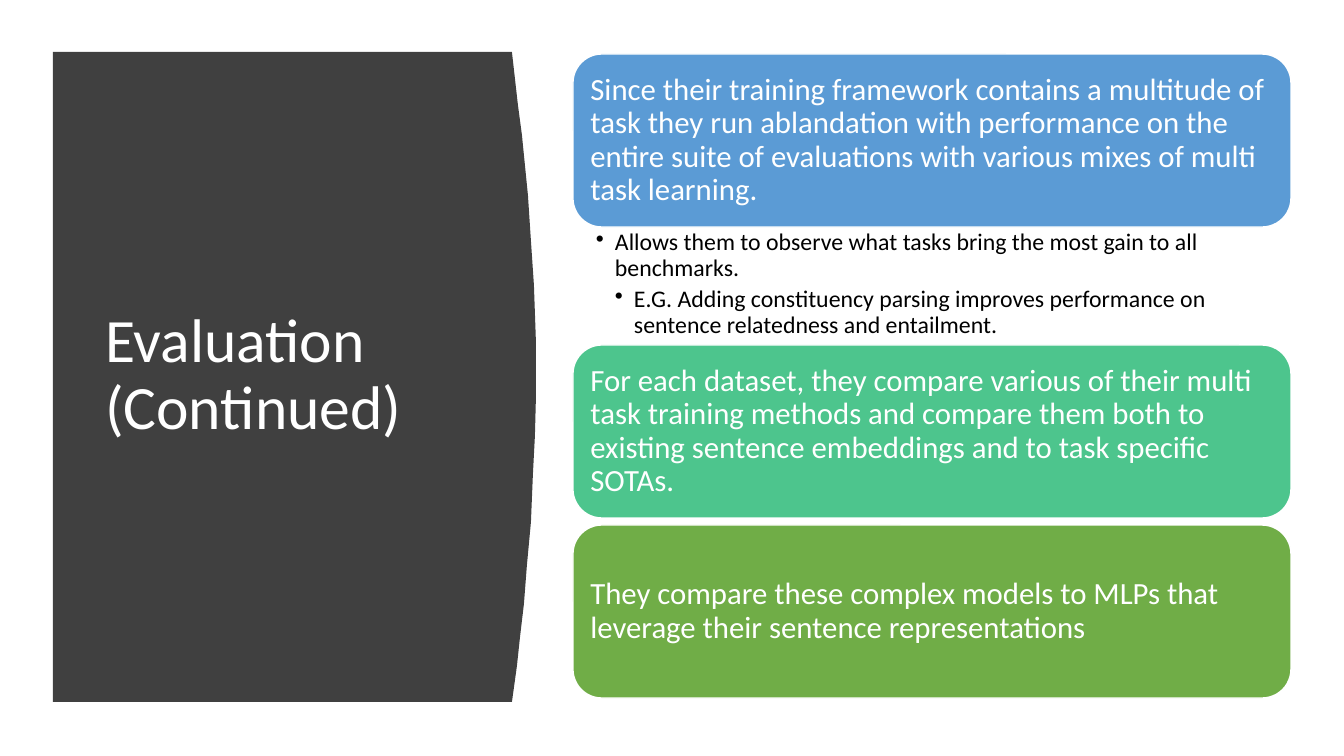
"""Build the "Evaluation (Continued)" slide."""
from lxml import etree
from pptx import Presentation
from pptx.dml.color import RGBColor
from pptx.enum.shapes import MSO_SHAPE
from pptx.enum.text import MSO_ANCHOR, PP_ALIGN
from pptx.util import Pt

ROUNDED = MSO_SHAPE.ROUNDED_RECTANGLE
TOP, MIDDLE = MSO_ANCHOR.TOP, MSO_ANCHOR.MIDDLE
LEFT = PP_ALIGN.LEFT
PX = 9071
FONT = "Calibri"
WHITE, BLACK, CHARCOAL = "FFFFFF", "000000", "404040"

TITLE = "Evaluation (Continued)"
POINTS = [
    ("Since their training framework contains a multitude of task they run "
     "ablandation with performance on the entire suite of evaluations with "
     "various mixes of multi task learning.", "5B9BD5",
     ["Allows them to observe what tasks bring the most gain to all benchmarks.",
      "E.G. Adding constituency parsing improves performance on sentence "
      "relatedness and entailment."]),
    ("For each dataset, they compare various of their multi task training "
     "methods and compare them both to existing sentence embeddings and to "
     "task specific SOTAs.", "4DC58D", []),
    ("They compare these complex models to MLPs that leverage their sentence "
     "representations", "70AD47", []),
]

PANEL_LEFT, PANEL_TOP, PANEL_BOTTOM = 53, 52, 702
PANEL_CURVE = [
    (512, 52), (518, 105), (522, 135), (525, 165), (528, 195), (531, 241),
    (534, 285), (535, 313), (536, 342), (536, 397), (535, 436), (533, 474),
    (531, 522), (527, 565), (524, 604), (520, 638), (517, 666), (512, 702),
]
TITLE_BOX = (95, 112, 377, 528)
CARD_LEFT, CARD_TOP, CARD_WIDTH, CARD_HEIGHT = 573, 54, 718, 173
CARD_GAP, DETAIL_HEIGHT, DETAIL_INDENT = 7, 118, 19


def px(*lengths):
    return [length * PX for length in lengths]


def color(hex_value):
    return RGBColor.from_string(hex_value)


def write(shape, lines, size, ink, anchor, insets, space_after=0):
    frame = shape.text_frame
    frame.text = "\n".join(lines)
    frame.word_wrap = True
    frame.vertical_anchor = anchor
    (frame.margin_left, frame.margin_top,
     frame.margin_right, frame.margin_bottom) = px(*insets)
    for paragraph in frame.paragraphs:
        paragraph.alignment = LEFT
        paragraph.line_spacing = 0.9
        paragraph.space_after = Pt(space_after)
        for run in paragraph.runs:
            run.font.name = FONT
            run.font.size = Pt(size)
            run.font.color.rgb = color(ink)


def add_bullet(paragraph, level):
    paragraph.level = level
    properties = paragraph._p.get_or_add_pPr()
    properties.set("marL", str(DETAIL_INDENT * level * PX))
    properties.set("indent", str(-DETAIL_INDENT * PX))
    namespace = properties.nsmap["a"]
    etree.SubElement(properties, f"{{{namespace}}}buChar", char="•")


def add_panel(slide):
    builder = slide.shapes.build_freeform(PANEL_LEFT, PANEL_TOP, scale=PX)
    builder.add_line_segments(PANEL_CURVE + [(PANEL_LEFT, PANEL_BOTTOM)])
    panel = builder.convert_to_shape()
    panel.shadow.inherit = False
    panel.fill.solid()
    panel.fill.fore_color.rgb = color(CHARCOAL)
    panel.line.fill.background()


def add_card(slide, top, statement, fill):
    card = slide.shapes.add_shape(ROUNDED, *px(CARD_LEFT, top, CARD_WIDTH, CARD_HEIGHT))
    card.shadow.inherit = False
    card.fill.solid()
    card.fill.fore_color.rgb = color(fill)
    card.line.color.rgb = color(WHITE)
    card.line.width = Pt(1)
    write(card, [statement], 22, WHITE, MIDDLE, (9, 9, 9, 9))


def add_details(slide, top, details):
    box = slide.shapes.add_textbox(*px(CARD_LEFT, top, CARD_WIDTH, DETAIL_HEIGHT))
    write(box, details, 17, BLACK, TOP, (23, 3, 17, 3), space_after=4)
    for level, paragraph in enumerate(box.text_frame.paragraphs, 1):
        add_bullet(paragraph, level)


def main():
    deck = Presentation()
    deck.slide_width, deck.slide_height = px(1344, 756)
    slide = deck.slides.add_slide(deck.slide_layouts[6])
    add_panel(slide)
    title = slide.shapes.add_textbox(*px(*TITLE_BOX))
    write(title, [TITLE], 44, WHITE, MIDDLE, (10, 5, 10, 5))

    top = CARD_TOP
    for statement, fill, details in POINTS:
        add_card(slide, top, statement, fill)
        top += CARD_HEIGHT
        if details:
            add_details(slide, top, details)
            top += DETAIL_HEIGHT
        else:
            top += CARD_GAP
    deck.save("out.pptx")


if __name__ == "__main__":
    main()
